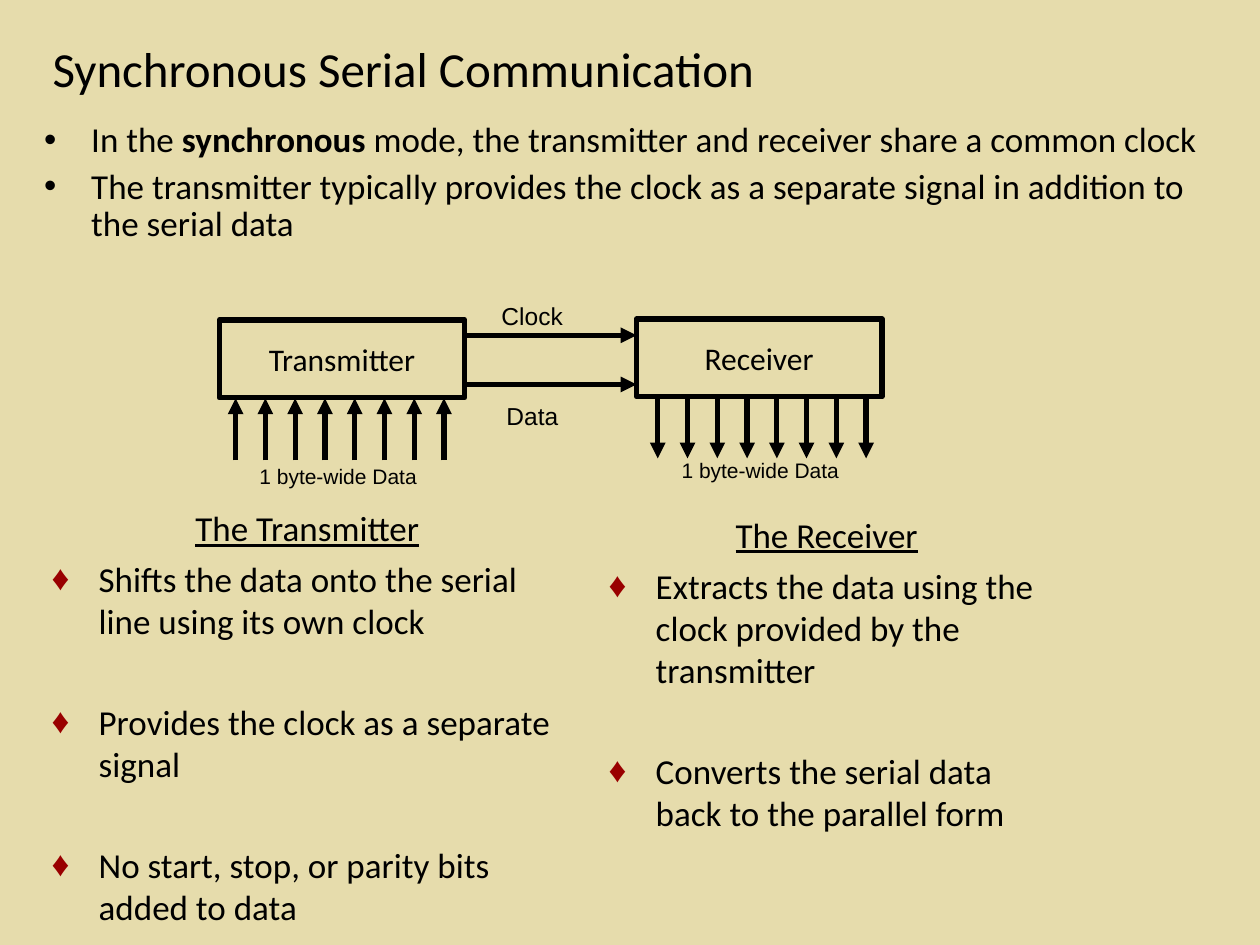
from lxml import etree
from pptx import Presentation
from pptx.dml.color import RGBColor
from pptx.enum.shapes import MSO_CONNECTOR, MSO_SHAPE
from pptx.enum.text import MSO_ANCHOR, MSO_AUTO_SIZE, PP_ALIGN
from pptx.oxml.ns import qn
from pptx.util import Cm, Pt

STRAIGHT = MSO_CONNECTOR.STRAIGHT
RECTANGLE = MSO_SHAPE.RECTANGLE
MIDDLE, TOP = MSO_ANCHOR.MIDDLE, MSO_ANCHOR.TOP
FIT = MSO_AUTO_SIZE.SHAPE_TO_FIT_TEXT
CENTER, LEFT = PP_ALIGN.CENTER, PP_ALIGN.LEFT

SAND = RGBColor(0xE6, 0xDC, 0xAC)
BLACK = RGBColor(0, 0, 0)
DARK_RED = RGBColor(0x99, 0, 0)


def write(paragraph, words, size, font="Calibri", align=LEFT, bullet=None, bullet_color=BLACK):
    paragraph.alignment = align
    if bullet:
        properties = paragraph._p.get_or_add_pPr()
        properties.set("marL", str(Cm(0.95)))
        properties.set("indent", str(-Cm(0.95)))
        color = etree.SubElement(properties, qn("a:buClr"))
        etree.SubElement(color, qn("a:srgbClr"), val=str(bullet_color))
        etree.SubElement(properties, qn("a:buFont"), typeface="Arial")
        etree.SubElement(properties, qn("a:buChar"), char=bullet)
    run = paragraph.add_run()
    run.text = words
    run.font.size = Pt(size)
    run.font.name = font
    run.font.color.rgb = BLACK
    return run


def arrow(x1, y1, x2, y2):
    line = slide.shapes.add_connector(STRAIGHT, Cm(x1), Cm(y1), Cm(x2), Cm(y2))
    line.line.color.rgb = BLACK
    line.line.width = Pt(3)
    etree.SubElement(line.line._get_or_add_ln(), qn("a:tailEnd"), type="triangle")
    etree.SubElement(line._element.spPr, qn("a:effectLst"))


prs = Presentation()
prs.slide_width = Cm(25.4)
prs.slide_height = Cm(19.05)
slide = prs.slides.add_slide(prs.slide_layouts[6])
slide.background.fill.solid()
slide.background.fill.fore_color.rgb = SAND

title = slide.shapes.add_textbox(Cm(0.81), Cm(0), Cm(24.59), Cm(2.74)).text_frame
title.word_wrap = True
title.vertical_anchor = MIDDLE
write(title.paragraphs[0], "Synchronous Serial Communication", 28)

intro = slide.shapes.add_textbox(Cm(0.64), Cm(2.34), Cm(24.13), Cm(3.35)).text_frame
intro.word_wrap = True
mode = intro.paragraphs[0]
mode.line_spacing = 0.9
write(mode, "In the ", 20, bullet="•")
write(mode, "synchronous", 20).font.bold = True
write(mode, " mode, the transmitter and receiver share a common clock", 20)
provider = intro.add_paragraph()
provider.line_spacing = 0.9
provider.space_before = Pt(5)
write(provider, "The transmitter typically provides the clock as a separate signal "
      "in addition to the serial data", 20, bullet="•")

for name, left, top in [("Transmitter", 4.42, 6.45), ("Receiver", 12.83, 6.43)]:
    device = slide.shapes.add_shape(RECTANGLE, Cm(left), Cm(top), Cm(4.95), Cm(1.57))
    device.shadow.inherit = False
    device.fill.background()
    device.line.color.rgb = BLACK
    device.line.width = Pt(3)
    device.text_frame.word_wrap = False
    device.text_frame.vertical_anchor = MIDDLE
    write(device.text_frame.paragraphs[0], name, 18, align=CENTER)

for signal_y in (6.76, 7.75):
    arrow(9.37, signal_y, 12.83, signal_y)

for bit in range(8):
    arrow(4.75 + 0.6 * bit, 9.28, 4.75 + 0.6 * bit, 8.03)
    arrow(13.26 + 0.6 * bit, 8, 13.26 + 0.6 * bit, 9.24)

labels = [
    ("Data", 14, 9.98, 7.98, 2.44, 0.81),
    ("Clock", 14, 9.88, 5.97, 2.44, 0.81),
    ("1 byte-wide Data", 12, 5, 9.25, 3.76, 0.74),
    ("1 byte-wide Data", 12, 13.51, 9.12, 3.76, 0.74),
]
for words, size, left, top, width, height in labels:
    label = slide.shapes.add_textbox(Cm(left), Cm(top), Cm(width), Cm(height)).text_frame
    label.word_wrap = True
    label.auto_size = FIT
    label.margin_top = label.margin_bottom = Cm(0.1)
    label.margin_left = label.margin_right = Cm(0.23)
    write(label.paragraphs[0], words, size, "Arial")

columns = [
    ("The Receiver", 12.04, 10.34, 9.25, 7.37, [
        "Extracts the data using the clock provided by the transmitter",
        "Converts the serial data back to the parallel form",
    ]),
    ("The Transmitter", 0.81, 10.21, 10.77, 6.4, [
        "Shifts the data onto the serial line using its own clock",
        "Provides the clock as a separate signal",
        "No start, stop, or parity bits added to data",
    ]),
]
for heading, left, top, width, height, duties in columns:
    column = slide.shapes.add_textbox(Cm(left), Cm(top), Cm(width), Cm(height)).text_frame
    column.word_wrap = True
    column.vertical_anchor = TOP
    column.margin_top = column.margin_bottom = Cm(0.1)
    column.margin_left = column.margin_right = Cm(0.23)
    column.paragraphs[0].line_spacing = 0.9
    write(column.paragraphs[0], heading, 20, align=CENTER).font.underline = True
    for index, duty in enumerate(duties):
        item = column.add_paragraph()
        item.space_before = Pt(33.5 if index else 5)
        write(item, duty, 20, bullet="♦", bullet_color=DARK_RED)

prs.save("out.pptx")
